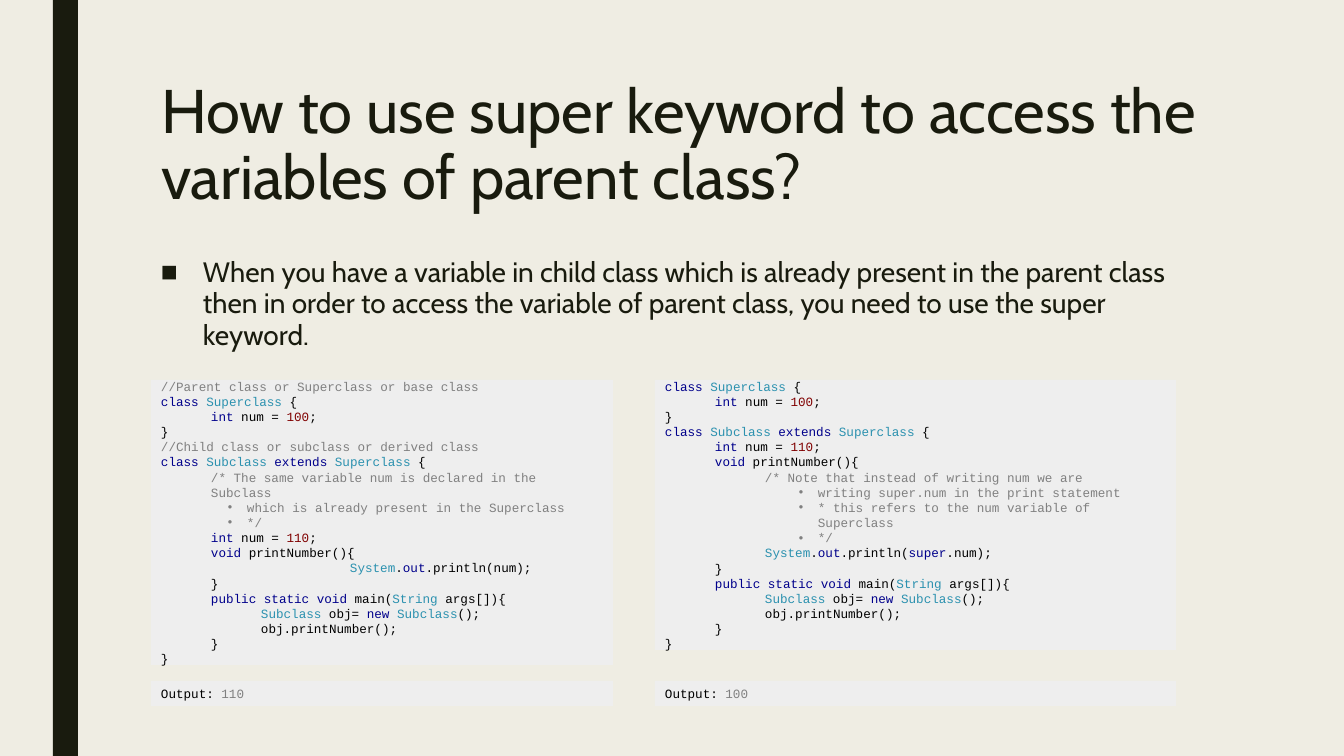
from itertools import groupby
from lxml.etree import SubElement as Sub
from pptx import Presentation
from pptx.dml.color import RGBColor as RGB
from pptx.enum.shapes import MSO_SHAPE as SHAPE
from pptx.enum.text import MSO_ANCHOR as ANCHOR, MSO_AUTO_SIZE as FIT, PP_ALIGN as ALIGN
from pptx.oxml.ns import qn
from pptx.util import Pt

PAPER = RGB(0xEF, 0xED, 0xE3)
INK = RGB(0x19, 0x1B, 0x0E)
PANEL = RGB(0xEE, 0xEE, 0xEE)
BLACK = RGB(0, 0, 0)
GREY = RGB(0x80, 0x80, 0x80)
NAVY = RGB(0, 0, 0x8B)
TEAL = RGB(0x2B, 0x91, 0xAF)
MAROON = RGB(0x80, 0, 0)

SANS, MONO = "Cabin", "Courier New"
KEYS = set("class extends int void public static new super out".split())
TYPES = {"Superclass", "Subclass", "String", "System"}
STEP, HANG = 50, 19

TITLE = "How to use super keyword to access the variables of parent class?"
POINT = ("When you have a variable in child class which is already present in the parent class "
         "then in order to access the variable of parent class, you need to use the super keyword.")

MAIN = [
    (STEP, "public static void main(String args[]){"),
    (2 * STEP, "Subclass obj= new Subclass();"),
    (2 * STEP, "obj.printNumber();"),
    (STEP, "}"),
    (0, "}"),
]
HIDDEN = [
    (0, "//Parent class or Superclass or base class"),
    (0, "class Superclass {"),
    (STEP, "int num = 100;"),
    (0, "}"),
    (0, "//Child class or subclass or derived class"),
    (0, "class Subclass extends Superclass {"),
    (STEP, "/* The same variable num is declared in the Subclass"),
    (86, "• which is already present in the Superclass"),
    (86, "• */"),
    (STEP, "int num = 110;"),
    (STEP, "void printNumber(){"),
    (189, "System.out.println(num);"),
    (STEP, "}"),
] + MAIN
SUPER = [
    (0, "class Superclass {"),
    (STEP, "int num = 100;"),
    (0, "}"),
    (0, "class Subclass extends Superclass {"),
    (STEP, "int num = 110;"),
    (STEP, "void printNumber(){"),
    (2 * STEP, "/* Note that instead of writing num we are"),
    (153, "• writing super.num in the print statement"),
    (153, "• * this refers to the num variable of Superclass"),
    (153, "• */"),
    (2 * STEP, "System.out.println(super.num);"),
    (STEP, "}"),
] + MAIN


def px(n):
    """Turn pixels into EMU."""
    return round(n * 914400 / 100.8)


def indent(para, left, hang=0, mark=None):
    """Indent a paragraph, with a bullet if one is given."""
    props = para._p.get_or_add_pPr()
    props.set("marL", str(px(left)))
    props.set("indent", str(-px(hang)))
    if mark:
        Sub(props, qn("a:buFont")).set("typeface", "Arial")
        Sub(props, qn("a:buChar")).set("char", mark)


def style(para, face, size, color):
    """Set the font of a whole paragraph."""
    para.font.name, para.font.size = face, Pt(size)
    para.font.color.rgb = color


def block(slide, box, color):
    """Draw a plain filled rectangle."""
    shape = slide.shapes.add_shape(SHAPE.RECTANGLE, *map(px, box))
    shape.shadow.inherit = False
    shape.fill.solid()
    shape.fill.fore_color.rgb = color
    shape.line.fill.background()
    return shape


def tint(word):
    """Pick the syntax colour of a word."""
    if word in KEYS:
        return NAVY
    if word in TYPES:
        return TEAL
    return MAROON if word.isdigit() else BLACK


def tokens(text):
    """Split a code line into pieces with their colours."""
    if text.startswith(("//", "/*")):
        return [(text, GREY)]
    words = ["".join(part) for _, part in groupby(text, str.isalnum)]
    return [("".join(part), color) for color, part in groupby(words, tint)]


def panel(slide, box):
    """Draw a panel and return its text frame."""
    frame = block(slide, box, PANEL).text_frame
    frame.word_wrap, frame.auto_size = True, FIT.NONE
    frame.vertical_anchor = ANCHOR.MIDDLE
    frame.margin_left = frame.margin_right = px(10)
    frame.margin_top = frame.margin_bottom = 0
    return frame


def write(para, parts):
    """Fill a left-aligned code paragraph with coloured runs."""
    para.alignment = ALIGN.LEFT
    style(para, MONO, 9, BLACK)
    for text, color in parts:
        run = para.add_run()
        run.text = text
        run.font.color.rgb = color


def code(slide, box, lines):
    """Draw a code listing."""
    frame = panel(slide, box)
    for n, (left, text) in enumerate(lines):
        para = frame.add_paragraph() if n else frame.paragraphs[0]
        if text.startswith("•"):
            indent(para, left, HANG, "•")
            write(para, [(text[2:], GREY)])
        else:
            indent(para, left)
            write(para, tokens(text))


def output(slide, box, value):
    """Draw the output line of a listing."""
    para = panel(slide, box).paragraphs[0]
    write(para, [("Output: ", BLACK), (value, GREY)])


def sample(slide, box, lines, value):
    """Draw a listing with its output 301 px below its top."""
    left, top, width, height = box
    code(slide, box, lines)
    output(slide, (left, top + 301, width, 25), value)


def prose(shape, text, size, space):
    """Format a heading or body text and return its paragraph."""
    frame = shape.text_frame
    frame.text = text
    frame.word_wrap, frame.auto_size = True, FIT.NONE
    frame.vertical_anchor = ANCHOR.TOP
    frame.margin_left = frame.margin_right = px(10)
    frame.margin_top = frame.margin_bottom = px(5)
    para = frame.paragraphs[0]
    para.alignment, para.line_spacing = ALIGN.LEFT, space
    return para


def title(slide, box):
    """Place the slide title."""
    shape = slide.shapes.title
    shape.left, shape.top, shape.width, shape.height = map(px, box)
    style(prose(shape, TITLE, 44, 0.89), SANS, 44, INK)


def body(slide, box):
    """Place the bulleted statement."""
    shape = slide.shapes.add_textbox(*map(px, box))
    para = prose(shape, POINT, 20, 0.94)
    indent(para, 42, 42, "■")
    style(para, SANS, 20, INK)


def main():
    """Build and save the slide."""
    deck = Presentation()
    deck.slide_width, deck.slide_height = px(1344), px(756)
    slide = deck.slides.add_slide(deck.slide_layouts[5])
    slide.background.fill.solid()
    slide.background.fill.fore_color.rgb = PAPER
    block(slide, (53, 0, 25, 756), INK)
    title(slide, (151, 76, 1058, 163))
    body(slide, (151, 252, 1058, 115))
    sample(slide, (151, 380, 462, 285), HIDDEN, "110")
    sample(slide, (655, 380, 521, 270), SUPER, "100")
    deck.save("out.pptx")


if __name__ == "__main__":
    main()
